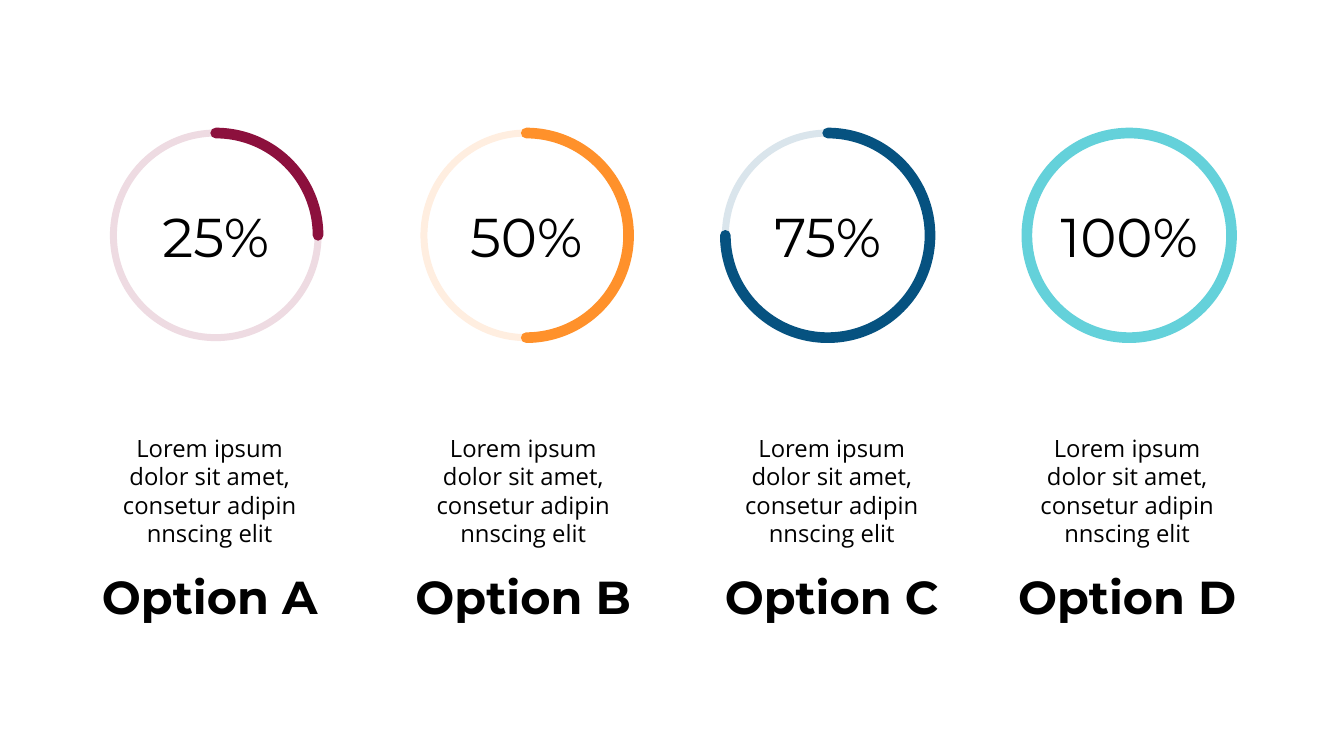
from collections import namedtuple
from lxml import etree
from pptx import Presentation
from pptx import util as u
from pptx.dml.color import RGBColor
from pptx.enum import shapes, text
from pptx.oxml.ns import qn

Box = namedtuple("Box", "left top width height")
WIDTH, HEIGHT = 13.33, 7.5
COLUMN, RING = 2.6, 2.03
BODY = "Lorem ipsum dolor sit amet, consetur adipin nnscing elit"
OPTIONS = [
    ("Option A", 25, 2.14, 2.08, "8C103D", "EEDBE2"),
    ("Option B", 50, 5.22, 5.19, "FF912B", "FFEEE0"),
    ("Option C", 75, 8.21, 8.25, "065280", "DAE5EC"),
    ("Option D", 100, 11.2, 11.18, "64D1DA", "64D1DA"),
]


def color(value):
    return RGBColor.from_string(value)


def inches(box):
    return [u.Inches(length) for length in box]


def centered(center, top, width, height):
    return Box(center - width / 2, top, width, height)


def add_outline(page, preset, box, line, weight):
    shape = page.shapes.add_shape(preset, *inches(box))
    shape.shadow.inherit = False
    shape.line.color.rgb = color(line)
    shape.line.width = u.Pt(weight)
    return shape


def add_text(page, box, words, font, size, bold=False, margins=(0, 0)):
    frame = page.shapes.add_textbox(*inches(box)).text_frame
    frame.word_wrap = True
    frame.margin_left = frame.margin_right = u.Inches(margins[0])
    frame.margin_top = frame.margin_bottom = u.Inches(margins[1])
    para = frame.paragraphs[0]
    para.alignment = text.PP_ALIGN.CENTER
    span = para.add_run()
    span.text = words
    span.font.name = font
    span.font.size = u.Pt(size)
    span.font.bold = bold
    span.font.color.rgb = color("000000")


def add_gauge(page, box, percent, accent, track):
    full = percent == 100
    ring = add_outline(page, shapes.MSO_SHAPE.OVAL, box, track, 7.62 if full else 5)
    ring.fill.solid()
    ring.fill.fore_color.rgb = color("FFFFFF")
    if not full:
        arc = add_outline(page, shapes.MSO_SHAPE.ARC, box, accent, 7.62)
        arc.fill.background()
        quarter = 54
        arc.adjustments[0] = 3 * quarter
        arc.adjustments[1] = (percent / 25 - 1) * quarter
        line = arc.line._get_or_add_ln()
        line.set("cap", "rnd")
        etree.SubElement(line, qn("a:round"))
    label = Box(box.left, box.top + box.height * 0.34, box.width, box.height * 0.39)
    add_text(page, label, f"{percent}%", "Montserrat", 39)


def add_caption(page, box, title):
    center = box.left + box.width / 2
    body = centered(center, box.top, box.width * 0.785, box.height * 0.57)
    heading = Box(box.left, box.top + box.height * 0.64, box.width, box.height * 0.36)
    add_text(page, body, BODY, "Open Sans", 17, margins=(0.1, 0.05))
    add_text(page, heading, title, "Montserrat", 33, bold=True)


def main():
    deck = Presentation()
    deck.slide_width, deck.slide_height = u.Inches(WIDTH), u.Inches(HEIGHT)
    page = deck.slides.add_slide(deck.slide_layouts[6])
    for title, percent, ring_center, text_center, accent, track in OPTIONS:
        gauge = centered(ring_center, HEIGHT * 0.176, RING, RING)
        caption = centered(text_center, 4.25, COLUMN, HEIGHT * 0.29)
        add_gauge(page, gauge, percent, accent, track)
        add_caption(page, caption, title)
    deck.save("out.pptx")


if __name__ == "__main__":
    main()
